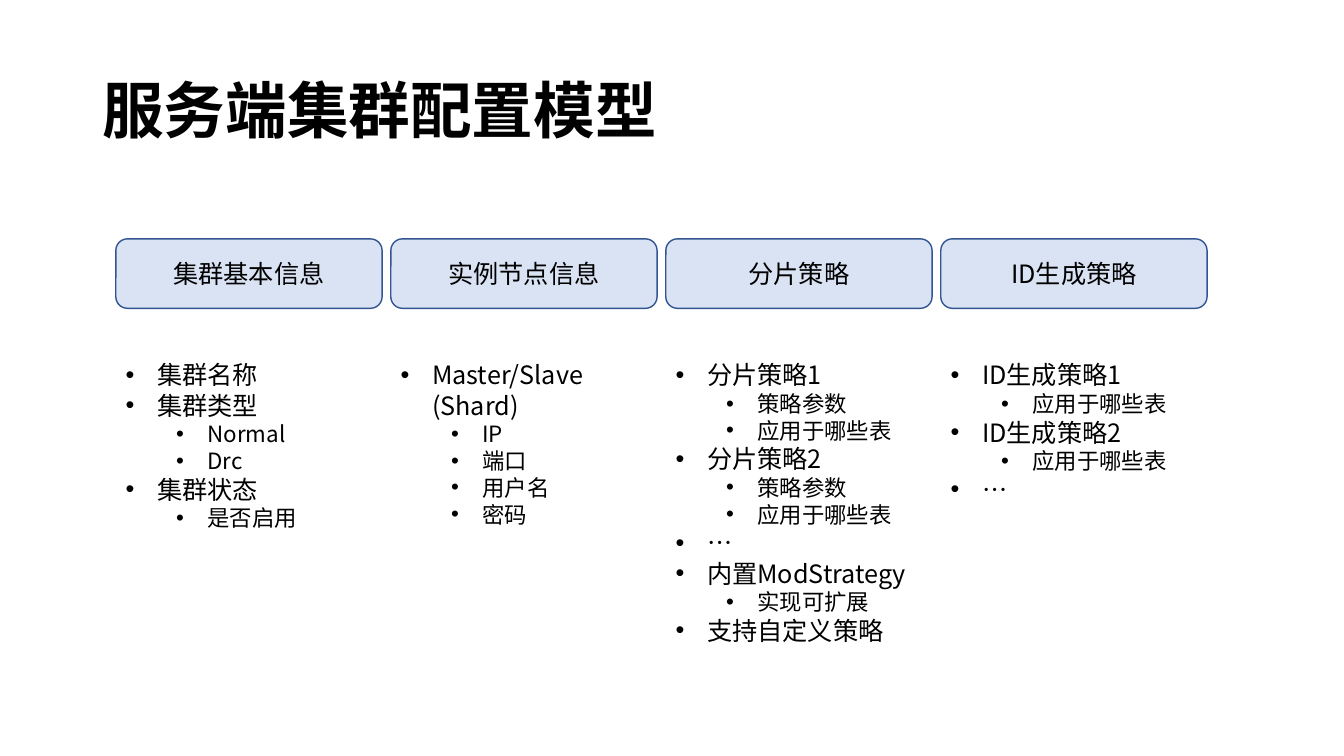
from lxml.etree import SubElement
from pptx import Presentation
from pptx.dml.color import RGBColor
from pptx.enum.lang import MSO_LANGUAGE_ID
from pptx.enum.shapes import MSO_SHAPE
from pptx.enum.text import MSO_ANCHOR, MSO_AUTO_SIZE, PP_ALIGN
from pptx.oxml.ns import qn
from pptx.util import Cm, Pt

FONT = "Noto Sans CJK SC"
BLACK = RGBColor(0x00, 0x00, 0x00)
PALE_BLUE = RGBColor(0xDA, 0xE3, 0xF3)
DARK_BLUE = RGBColor(0x32, 0x54, 0x91)

# Heading, text width and height in cm, then (level, text) items
COLUMNS = [
    ("集群基本信息", 5.49, 4.62, [
        (0, "集群名称"), (0, "集群类型"), (1, "Normal"), (1, "Drc"),
        (0, "集群状态"), (1, "是否启用")]),
    ("实例节点信息", 7.01, 3.76, [
        (0, "Master/Slave (Shard)"), (1, "IP"), (1, "端口"),
        (1, "用户名"), (1, "密码")]),
    ("分片策略", 7.01, 7.62, [
        (0, "分片策略1"), (1, "策略参数"), (1, "应用于哪些表"),
        (0, "分片策略2"), (1, "策略参数"), (1, "应用于哪些表"),
        (0, "…"), (0, "内置ModStrategy"), (1, "实现可扩展"),
        (0, "支持自定义策略")]),
    ("ID生成策略", 7.01, 3.94, [
        (0, "ID生成策略1"), (1, "应用于哪些表"),
        (0, "ID生成策略2"), (1, "应用于哪些表"), (0, "…")]),
]
LEFT, PITCH = 2.92, 6.93


def add_run(paragraph, text, size, bold=False):
    run = paragraph.add_run()
    run.text = text
    run.font.size = Pt(size)
    run.font.bold = bold
    run.font.color.rgb = BLACK
    run.font.name = FONT
    run.font.language_id = MSO_LANGUAGE_ID.SIMPLIFIED_CHINESE
    SubElement(run.font._element, qn("a:ea"), typeface=FONT)


def add_bullet(paragraph, level):
    paragraph.level = level
    properties = paragraph._p.get_or_add_pPr()
    properties.set("marL", str(Cm(0.79 + 1.27 * level)))
    properties.set("indent", str(-Cm(0.79)))
    SubElement(properties, qn("a:buFont"), typeface="Arial")
    SubElement(properties, qn("a:buChar"), char="•")


presentation = Presentation()
presentation.slide_width = Cm(33.87)
presentation.slide_height = Cm(19.05)
slide = presentation.slides.add_slide(presentation.slide_layouts[6])

# Title
title = slide.shapes.add_textbox(Cm(2.33), Cm(1.01), Cm(29.21), Cm(3.68))
title.text_frame.word_wrap = True
title.text_frame.vertical_anchor = MSO_ANCHOR.MIDDLE
title_paragraph = title.text_frame.paragraphs[0]
title_paragraph.line_spacing = 0.9
add_run(title_paragraph, "服务端集群配置模型", 44, bold=True)

for column, (heading, width, height, items) in enumerate(COLUMNS):
    left = Cm(LEFT + column * PITCH)

    # Heading box
    box = slide.shapes.add_shape(
        MSO_SHAPE.ROUNDED_RECTANGLE, left, Cm(6.02), Cm(6.71), Cm(1.75))
    box.shadow.inherit = False
    box.fill.solid()
    box.fill.fore_color.rgb = PALE_BLUE
    box.line.color.rgb = DARK_BLUE
    box.line.width = Pt(1)
    box.text_frame.vertical_anchor = MSO_ANCHOR.MIDDLE
    heading_paragraph = box.text_frame.paragraphs[0]
    heading_paragraph.alignment = PP_ALIGN.CENTER
    add_run(heading_paragraph, heading, 18)

    # Bulleted details
    details = slide.shapes.add_textbox(left, Cm(8.94), Cm(width), Cm(height))
    frame = details.text_frame
    frame.word_wrap = True
    frame.auto_size = MSO_AUTO_SIZE.SHAPE_TO_FIT_TEXT
    for index, (level, text) in enumerate(items):
        paragraph = frame.add_paragraph() if index else frame.paragraphs[0]
        add_bullet(paragraph, level)
        add_run(paragraph, text, 16 if level else 18)

presentation.save("out.pptx")
